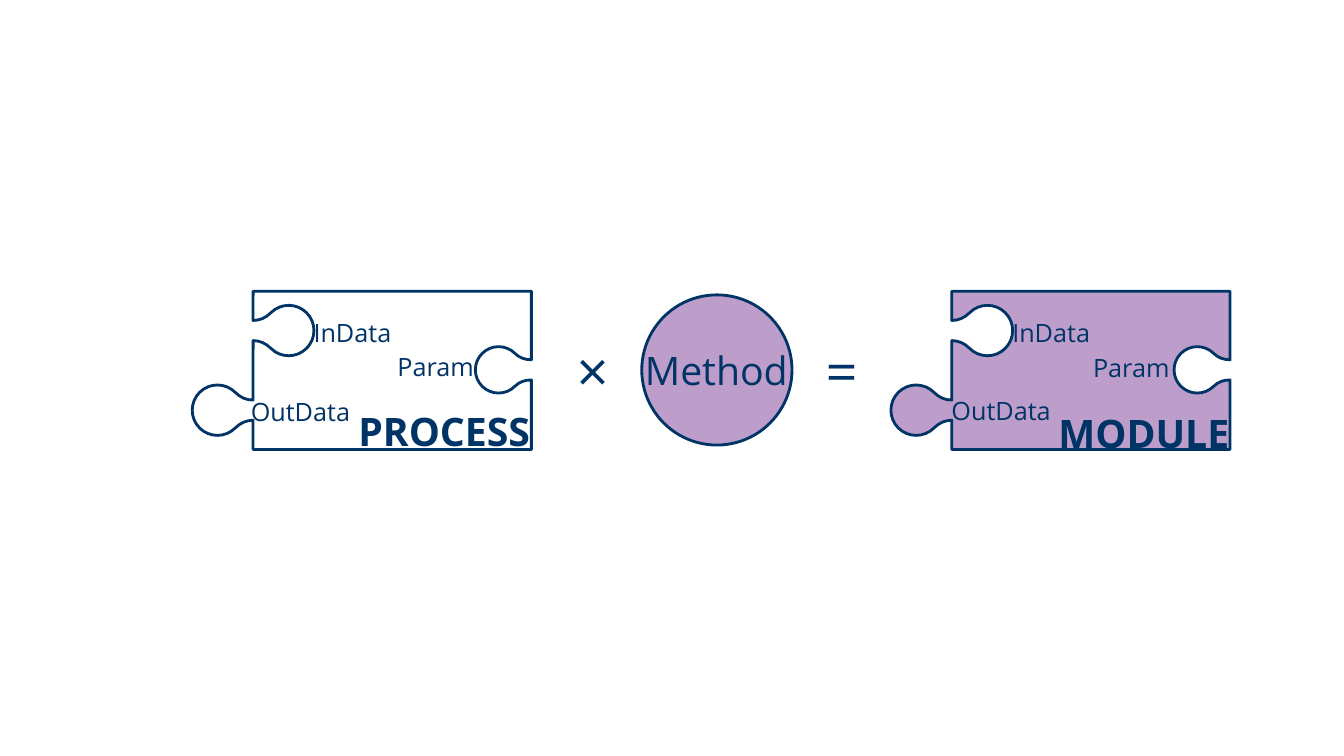
from math import cos, radians, sin, sqrt, tan

from lxml.etree import SubElement
from pptx import Presentation
from pptx.dml.color import RGBColor
from pptx.enum.shapes import MSO_SHAPE as Shape
from pptx.enum.text import MSO_ANCHOR as Anchor, PP_ALIGN as Align
from pptx.oxml.ns import qn
from pptx.util import Inches, Pt

NAVY, LILAC = "003366", "BD9ECA"
PIECE_W, PIECE_H = 2.76, 1.57
TILT = 45
NECK = 0.1  # half the opening of a knob
CENTRE_Y = 3.67


def colour(hex_text):
    return RGBColor.from_string(hex_text)


def style(shape, fill):
    shape.shadow.inherit = False
    shape.line.color.rgb = colour(NAVY)
    shape.line.width = Pt(2)
    if fill:
        shape.fill.solid()
        shape.fill.fore_color.rgb = colour(fill)
    else:
        shape.fill.background()


def label(slide, words, left, top, width, height, size, bold=False, align=Align.CENTER):
    box = slide.shapes.add_textbox(*map(Inches, (left, top, width, height)))
    frame = box.text_frame
    frame.word_wrap = True
    frame.vertical_anchor = Anchor.MIDDLE
    frame.margin_left = frame.margin_right = frame.margin_top = frame.margin_bottom = 0
    paragraph = frame.paragraphs[0]
    paragraph.alignment = align
    run = paragraph.add_run()
    run.text = words
    run.font.name = "Open Sans"
    run.font.size = Pt(size)
    run.font.bold = bold
    run.font.color.rgb = colour(NAVY)


def turn(point, degrees):
    x, y = point
    c, s = cos(radians(degrees)), sin(radians(degrees))
    return x * c - y * s, x * s + y * c


def knob(edge, middle, radius, side, heading):
    """One line and five curves; side and heading are 1 for right and down, else -1."""
    joint = radius / sqrt(2)
    handle = 4 / 3 * tan(radians(90 / 4)) * radius
    bend = (joint + 2 * NECK) / 3
    neck = [(2 / 3 * NECK, -NECK), (bend, -bend), (joint, -joint)]
    curves = [neck]
    for start in (-135, -45, 45):
        quarter = [turn(p, start) for p in
                   ((radius, handle), (handle, radius), (0, radius))]
        curves.append([(x + radius * sqrt(2), y) for x, y in quarter])
    curves.append([(bend, bend), (2 / 3 * NECK, NECK), (0, NECK)])
    return [[(edge + side * x, middle + heading * y) for x, y in step]
            for step in [[(0, -NECK)]] + curves]


def tilted_outline(slide, steps, fill):
    """Draws steps of one point (line) or three points (curve) in a tilted frame."""
    flat = [turn(point, -TILT) for step in steps for point in step]
    xs, ys = zip(*flat)
    centre = (min(xs) + max(xs)) / 2, (min(ys) + max(ys)) / 2
    seen = turn(centre, TILT)
    points = [(Inches(x + seen[0] - centre[0]), Inches(y + seen[1] - centre[1]))
              for x, y in flat]
    builder = slide.shapes.build_freeform(*points[0])
    builder.add_line_segments(points[1:], close=True)
    shape = builder.convert_to_shape()

    # Join each group of three segments into one curve
    segments = iter(shape._element.findall(".//" + qn("a:lnTo")))
    for step in steps[1:]:
        group = [next(segments) for _ in step]
        if len(group) == 3:
            outline = group[0].getparent()
            curve = SubElement(outline, qn("a:cubicBezTo"))
            group[0].addprevious(curve)
            for segment in group:
                curve.append(segment[0])
                outline.remove(segment)
    shape.rotation = TILT
    style(shape, fill)


def puzzle_piece(slide, left, top, fill, title, title_at, param_at, out_at):
    right, bottom = left + PIECE_W, top + PIECE_H

    # Outline, clockwise from the top left corner
    steps = [[(left, top)], [(right, top)],
             *knob(right, top + 0.78, 0.23, -1, 1),   # Param socket
             [(right, bottom)], [(left, bottom)],
             *knob(left, top + 1.18, 0.25, -1, -1),   # OutData tab
             *knob(left, top + 0.39, 0.25, 1, -1)]    # InData socket
    tilted_outline(slide, steps, fill)

    # Labels, placed from the corner of the piece
    def inside(words, at, width, height, size, **look):
        label(slide, words, left + at[0], top + at[1], width, height, size, **look)

    inside(title, title_at, 1.77, 0.5, 28, bold=True)
    inside("OutData", out_at, 1.04, 0.3, 18)
    inside("Param", param_at, 0.82, 0.3, 18)
    inside("InData", (0.6, 0.26), 1.04, 0.3, 18, align=Align.LEFT)


def method_circle(slide, centre_x, diameter):
    corner = centre_x - diameter / 2, CENTRE_Y - diameter / 2
    circle = slide.shapes.add_shape(
        Shape.OVAL, *map(Inches, (*corner, diameter, diameter)))
    style(circle, LILAC)
    label(slide, "Method", centre_x - 0.89, CENTRE_Y - 0.25, 1.77, 0.5, 28)


def operator(slide, sign, centre_x):
    label(slide, sign, centre_x - 0.15, CENTRE_Y - 0.25, 0.3, 0.5, 40)


def equation_slide(deck):
    slide = deck.slides.add_slide(deck.slide_layouts[6])
    puzzle_piece(slide, 2.51, 2.89, None, "PROCESS",
                 title_at=(1.01, 1.13), param_at=(1.4, 0.6), out_at=(-0.05, 1.04))
    operator(slide, "×", 5.87)
    method_circle(slide, 7.11, 1.49)
    operator(slide, "=", 8.34)
    puzzle_piece(slide, 9.44, 2.89, LILAC, "MODULE",
                 title_at=(1.02, 1.15), param_at=(1.37, 0.61), out_at=(-0.03, 1.03))


def main():
    deck = Presentation()
    deck.slide_width, deck.slide_height = Inches(13.33), Inches(7.5)
    equation_slide(deck)
    deck.save("out.pptx")


if __name__ == "__main__":
    main()
